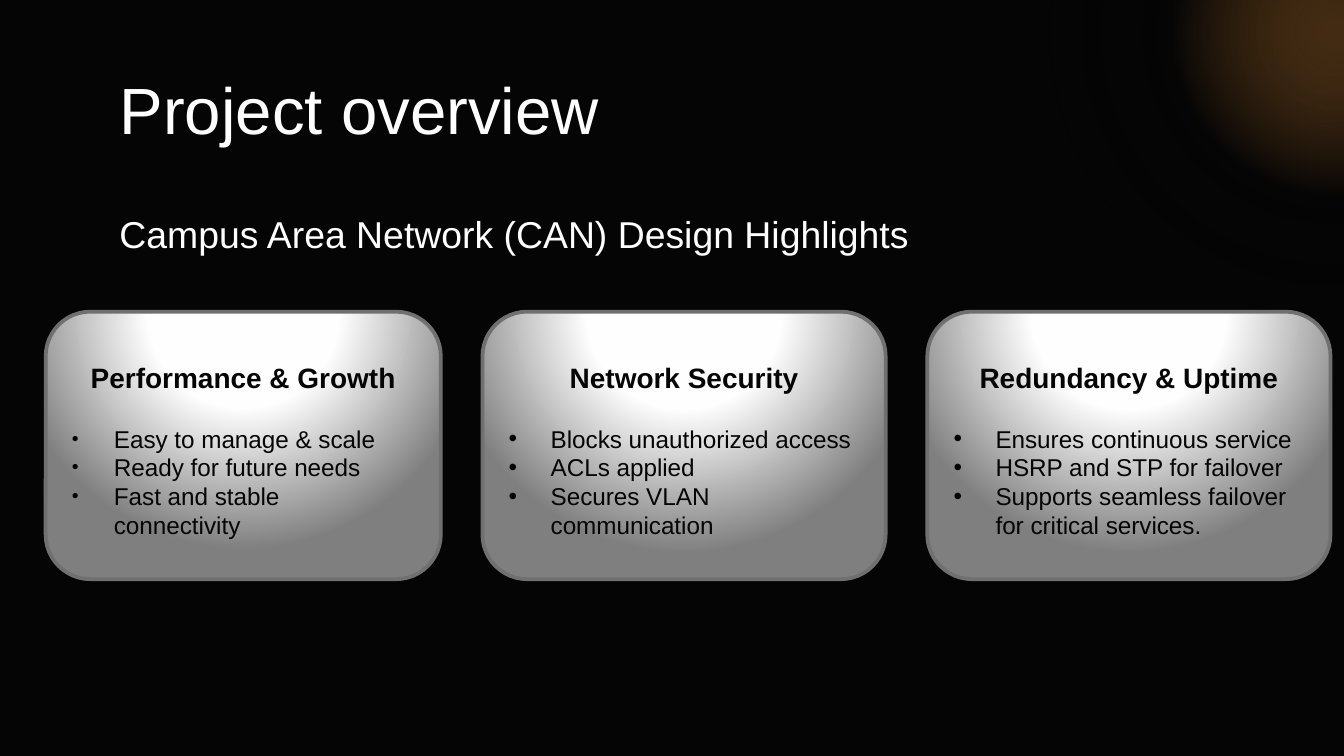
"""Build the project overview slide with three highlight cards."""
from dataclasses import dataclass
from typing import Any

import pptx
import pptx.dml.color
import pptx.enum.shapes
import pptx.enum.text
import pptx.oxml
import pptx.oxml.ns
import pptx.util

Pt = pptx.util.Pt
ALIGN = pptx.enum.text.PP_ALIGN
SHAPES = pptx.enum.shapes.MSO_SHAPE
FONT = "Arial"
COLOURS = {
    "background": "050505",
    "glow": "E69138",
    "light": "FFFFFF",
    "near_light": "FEFEFE",
    "shade": "7F7F7F",
    "outline": "707070",
    "bullet": "000000",
}
CARD_TOP, CARD_HEIGHT = 167, 143.3
BULLET_INDENT = 22.5


@dataclass
class Stop:
    position: int
    colour: str
    opacity: int = 100


@dataclass
class Card:
    left: float
    width: float
    heading: str
    points: list[str]
    bullet_size: int = 100


GLOW_STOPS = [
    Stop(0, "glow", 27),
    Stop(41, "background", 54),
    Stop(78, "background", 0),
    Stop(100, "background", 0),
]
CARD_STOPS = [Stop(0, "light"), Stop(40, "near_light"), Stop(100, "shade")]
CARDS = [
    Card(24.5, 211.7, "Performance & Growth",
         ["Easy to manage & scale", "Ready for future needs", "Fast and stable\vconnectivity"], 80),
    Card(258.5, 216, "Network Security",
         ["Blocks unauthorized access", "ACLs applied", "Secures VLAN communication"]),
    Card(496.8, 216, "Redundancy & Uptime",
         ["Ensures continuous service", "HSRP and STP for failover",
          "Supports seamless failover for critical services."]),
]


def rgb(name: str) -> pptx.dml.color.RGBColor:
    return pptx.dml.color.RGBColor.from_string(COLOURS[name])


def set_all(target: Any, values: dict[str, Any]) -> None:
    for name, value in values.items():
        setattr(target, name, value)


def format_font(para: Any, size: float, colour: str, bold: bool = False) -> None:
    set_all(para.font, {"name": FONT, "size": Pt(size), "bold": bold})
    para.font.color.rgb = rgb(colour)


def format_frame(frame: Any, top_inset: float) -> None:
    set_all(frame, {
        "word_wrap": True,
        "auto_size": pptx.enum.text.MSO_AUTO_SIZE.NONE,
        "vertical_anchor": pptx.enum.text.MSO_ANCHOR.TOP,
        "margin_left": Pt(7.2),
        "margin_right": Pt(7.2),
        "margin_top": Pt(top_inset),
        "margin_bottom": Pt(3.6),
    })


def fill_radial(shape: Any, stops: list[Stop], top: int, bottom: int) -> None:
    stop_xml = "".join(
        f'<a:gs pos="{stop.position * 1000}"><a:srgbClr val="{COLOURS[stop.colour]}">'
        f'<a:alpha val="{stop.opacity * 1000}"/></a:srgbClr></a:gs>'
        for stop in stops
    )
    gradient = pptx.oxml.parse_xml(
        f'<a:gradFill {pptx.oxml.ns.nsdecls("a")} rotWithShape="1"><a:gsLst>{stop_xml}</a:gsLst>'
        f'<a:path path="circle"><a:fillToRect l="50000" t="{top * 1000}" r="50000" '
        f'b="{bottom * 1000}"/></a:path></a:gradFill>'
    )
    shape.fill.background()
    properties = shape.element.spPr
    properties.replace(properties.find(pptx.oxml.ns.qn("a:noFill")), gradient)


def add_bullet(para: Any, size: int) -> None:
    properties = para._p.get_or_add_pPr()
    properties.set("marL", str(Pt(BULLET_INDENT)))
    properties.set("indent", str(-Pt(BULLET_INDENT)))
    for content in (
        f'buClr {{}}><a:srgbClr val="{COLOURS["bullet"]}"/></a:buClr>',
        f'buSzPct {{}} val="{size * 1000}"/>',
        f'buFont {{}} typeface="{FONT}"/>',
        'buChar {} char="•"/>',
    ):
        xml = "<a:" + content.format(pptx.oxml.ns.nsdecls("a"))
        properties.append(pptx.oxml.parse_xml(xml))


def add_glow(page: Any) -> None:
    glow = page.shapes.add_shape(SHAPES.OVAL, Pt(562.3), Pt(-135.4), Pt(304.6), Pt(304.6))
    glow.shadow.inherit = False
    glow.line.fill.background()
    fill_radial(glow, GLOW_STOPS, 50, 50)
    page.shapes._spTree.insert(2, glow.element)


def add_title(page: Any, text: str) -> None:
    title = page.shapes.title
    set_all(title, {"left": Pt(56.9), "top": Pt(35.3), "width": Pt(607), "height": Pt(45.4)})
    format_frame(title.text_frame, 10)
    para = title.text_frame.paragraphs[0]
    set_all(para, {"text": text, "alignment": ALIGN.LEFT, "line_spacing": 0.8})
    format_font(para, 35, "light")


def add_subtitle(page: Any, text: str) -> None:
    box = page.shapes.add_textbox(Pt(56.9), Pt(106), Pt(546.5), Pt(40))
    format_frame(box.text_frame, 7.2)
    para = box.text_frame.paragraphs[0]
    para.text = text
    format_font(para, 20, "light")


def add_card(page: Any, card: Card) -> None:
    box = page.shapes.add_shape(SHAPES.ROUNDED_RECTANGLE, Pt(card.left), Pt(CARD_TOP),
                                Pt(card.width), Pt(CARD_HEIGHT))
    box.shadow.inherit = False
    fill_radial(box, CARD_STOPS, -80, 180)
    box.line.color.rgb = rgb("outline")
    box.line.width = Pt(2)
    frame = box.text_frame
    format_frame(frame, 19.2)
    heading = frame.paragraphs[0]
    set_all(heading, {"text": card.heading, "alignment": ALIGN.CENTER})
    format_font(heading, 15, "background", True)
    for index, point in enumerate(card.points):
        para = frame.add_paragraph()
        set_all(para, {
            "text": point,
            "alignment": ALIGN.LEFT,
            "line_spacing": Pt(15.5),
            "space_before": Pt(0 if index else 16),
        })
        add_bullet(para, card.bullet_size)
        format_font(para, 13, "background")


def main() -> None:
    deck = pptx.Presentation()
    set_all(deck, {"slide_width": Pt(720), "slide_height": Pt(405)})
    page = deck.slides.add_slide(deck.slide_layouts.get_by_name("Title Only"))
    page.background.fill.solid()
    page.background.fill.fore_color.rgb = rgb("background")
    add_glow(page)
    add_title(page, "Project overview")
    add_subtitle(page, "Campus Area Network (CAN) Design Highlights")
    for card in CARDS:
        add_card(page, card)
    deck.save("out.pptx")


if __name__ == "__main__":
    main()
